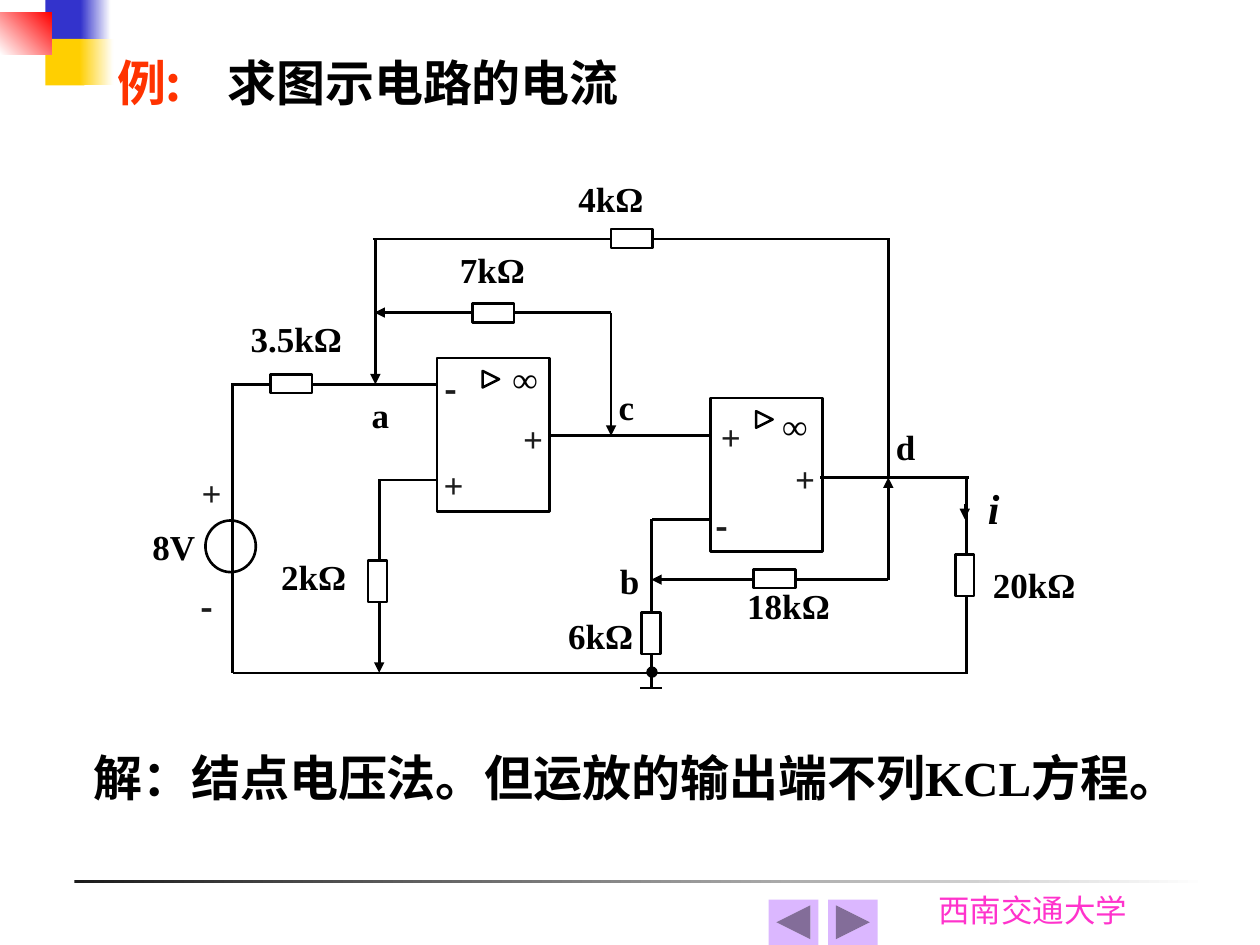
from lxml.etree import SubElement
from pptx import Presentation
from pptx.dml.color import RGBColor
from pptx.enum.shapes import MSO_CONNECTOR as Wire, MSO_SHAPE as Kind
from pptx.enum.text import MSO_ANCHOR as Anchor, MSO_AUTO_SIZE as Fit, PP_ALIGN as Align
from pptx.oxml.ns import qn
from pptx.util import Pt

color = RGBColor.from_string
SERIF, SANS = "Times New Roman", "Noto Sans CJK SC"
BLACK, WHITE, DARK = "000000", "FFFFFF", "1C1C1C"

deck = Presentation()
deck.slide_width, deck.slide_height = Pt(720), Pt(540)
page = deck.slides.add_slide(deck.slide_layouts[6])


def add_shape(kind, left, top, width, height, fill=None, line=None, turn=0):
    shape = page.shapes.add_shape(kind, Pt(left), Pt(top), Pt(width), Pt(height))
    shape.shadow.inherit = False
    shape.rotation = turn
    if isinstance(fill, tuple):
        shape.fill.gradient()
        shape.fill.gradient_angle = fill[2]
        for stop, tone in zip(shape.fill.gradient_stops, fill):
            stop.color.rgb = color(tone)
    elif fill:
        shape.fill.solid()
        shape.fill.fore_color.rgb = color(fill)
    else:
        shape.fill.background()
    if line:
        shape.line.color.rgb = color(line)
        shape.line.width = Pt(1.5)
    else:
        shape.line.fill.background()


def add_text(spans, left, top, width, height, align=Align.JUSTIFY, font=SERIF, size=20,
             bold=True, italic=False, margin=(0, 0), tab=None, **frame_format):
    box = page.shapes.add_textbox(Pt(left), Pt(top), Pt(width), Pt(height))
    side, edge = margin
    frame_values = {"margin_left": Pt(side), "margin_right": Pt(side), "margin_top": Pt(edge),
                    "margin_bottom": Pt(edge), "word_wrap": True, **frame_format}
    for name, value in frame_values.items():
        setattr(box.text_frame, name, value)
    para = box.text_frame.paragraphs[0]
    para.alignment = align
    if tab:
        stops = SubElement(para._p.get_or_add_pPr(), qn("a:tabLst"))
        SubElement(stops, qn("a:tab"), pos=str(Pt(tab)), algn="l")
    for text, tone in spans:
        span = para.add_run()
        span.text = text
        for name, value in {"name": font, "size": Pt(size), "bold": bold, "italic": italic}.items():
            setattr(span.font, name, value)
        span.font.color.rgb = color(tone)
        SubElement(span._r.get_or_add_rPr(), qn("a:ea"), typeface=SANS)


add_shape(Kind.RECTANGLE, 42.5, 502.6, 648, 2.2, (DARK, WHITE, 0))
add_text([("西南交通大学", "FF33CC")], 529, 505.4, 130.3, 28.8, align=Align.LEFT,
         font="Cabin", size=18, bold=False, margin=(7.2, 3.6))

for tone, top, solid_width, fade_left, fade_width in [
    ("3333CC", 0, 23, 46, 17.3),
    ("FFCF01", 22.3, 22.3, 45.4, 19.4),
]:
    add_shape(Kind.RECTANGLE, 26, top, solid_width, 26.6, tone)
    add_shape(Kind.RECTANGLE, fade_left, top, fade_width, 26.6, (tone, WHITE, 0))
add_shape(Kind.RECTANGLE, 0, 7.2, 29.6, 23.8, (WHITE, "FF0000", 45))

for left, top in [(249.8, 204.5), (406.1, 227.5)]:
    add_shape(Kind.RECTANGLE, left, top, 64.1, 87.8, line=BLACK)
    add_shape(Kind.ISOSCELES_TRIANGLE, left + 26, top + 7.5, 9.4, 9.4, WHITE, BLACK, 90)

for start_x, start_y, end_x, end_y, arrow, weight in [
    (217, 274.3, 249, 274.3, False, 1.5),
    (134, 219.6, 249, 219.6, False, 1.5),
    (349.2, 178.6, 214, 178.6, True, 1.5),
    (365.8, 393.1, 378, 393.1, False, 1.5),
    (468.7, 272.9, 553.7, 272.9, False, 1.5),
    (372.6, 297, 405.4, 297, False, 1.5),
    (507.6, 331.2, 372.2, 331.2, True, 1.5),
    (507.6, 331.2, 507.6, 272.9, True, 1.5),
    (314.6, 249, 405.4, 249, False, 1.5),
    (372.2, 296.6, 372.2, 393.1, False, 1.5),
    (216.7, 274, 216.7, 384.5, True, 1.5),
    (132.8, 219, 132.8, 384.5, False, 1.5),
    (552.2, 273.2, 552.2, 385, False, 1.5),
    (133.2, 384.5, 553, 384.5, False, 1.5),
    (214.5, 136.8, 214.5, 219.6, True, 1.5),
    (349.2, 178.6, 349.2, 249, True, 1.5),
    (213.1, 136.6, 507.5, 136.6, False, 1.5),
    (507.6, 272.9, 507.6, 136.1, False, 1.5),
    (551.3, 288, 551.3, 296.6, True, 1),
]:
    wire = page.shapes.add_connector(Wire.STRAIGHT, Pt(start_x), Pt(start_y), Pt(end_x), Pt(end_y))
    wire.line.color.rgb = color(BLACK)
    wire.line.width = Pt(weight)
    if arrow:
        SubElement(wire.line._get_or_add_ln(), qn("a:tailEnd"), type="triangle")
    SubElement(wire._element.spPr, qn("a:effectLst"))

for left, top, turn in [
    (270, 173.4, 0), (154.6, 213.9, 0), (430.7, 325.3, 0), (349.2, 130.9, 0),
    (360, 356.4, 90), (203.8, 326.7, 90), (539.3, 323.3, 90),
]:
    add_shape(Kind.RECTANGLE, left, top, 23.8, 10.8, WHITE, BLACK, turn)
add_shape(Kind.OVAL, 370.1, 381.6, 5, 5, BLACK, BLACK)
add_shape(Kind.OVAL, 117.4, 297.4, 28.8, 29.5, line=BLACK)

for left, top in [(248.4, 265), (293.8, 238.3), (110.2, 269.3), (406.8, 237.6), (449.3, 261.4)]:
    add_text([("+", DARK)], left, top, 21.6, 18.7, align=Align.CENTER)
for left, top in [(254.2, 210.2), (114.5, 334.8), (409, 288)]:
    add_text([("-", DARK)], left, top, 20.2, 27.4, font=SANS)

for label, left, top, width, height in [
    ("a", 212.4, 224.6, 20.2, 27.4),
    ("b", 354.2, 319.7, 20.2, 27.4),
    ("c", 353.5, 220.3, 20.2, 27.4),
    ("d", 511.9, 243.4, 20.2, 27.4),
    ("8V", 87.1, 300.2, 41.8, 33.8),
    ("2kΩ", 160.6, 317.5, 41.8, 33.8),
    ("3.5kΩ", 143.3, 181.4, 62.6, 33.8),
    ("4kΩ", 330.5, 101.5, 62.6, 33.8),
    ("7kΩ", 262.8, 141.8, 62.6, 33.8),
    ("20kΩ", 567.4, 321.8, 62.6, 39.6),
    ("18kΩ", 427, 334.1, 62.6, 39.6),
    ("6kΩ", 324.7, 351.4, 62.6, 39.6),
    ("∞", 293, 204.5, 20.9, 33.8),
    ("∞", 447.1, 231.1, 20.9, 33.8),
]:
    add_text([(label, BLACK)], left, top, width, height)
add_text([("i", BLACK)], 564.5, 275.8, 31, 39.6, size=24, italic=True)

heading = {"size": 28, "margin": (7.2, 3.6), "vertical_anchor": Anchor.MIDDLE,
           "auto_size": Fit.SHAPE_TO_FIT_TEXT}
add_text([("例:\t", "FF3300"), ("求图示电路的电流", BLACK)], 59.8, 26.6, 310.3, 41,
         font=SANS, tab=63, **heading)
add_text([("解：结点电压法。但运放的输出端不列KCL方程。", BLACK)], 39.6, 423.4, 647.3, 41,
         align=Align.CENTER, word_wrap=False, **heading)

for kind, left in [(Kind.ACTION_BUTTON_BACK_OR_PREVIOUS, 439.2),
                   (Kind.ACTION_BUTTON_FORWARD_OR_NEXT, 473.2)]:
    add_shape(kind, left, 514.1, 28.4, 25.9, "DBB7FF")

deck.save("out.pptx")
